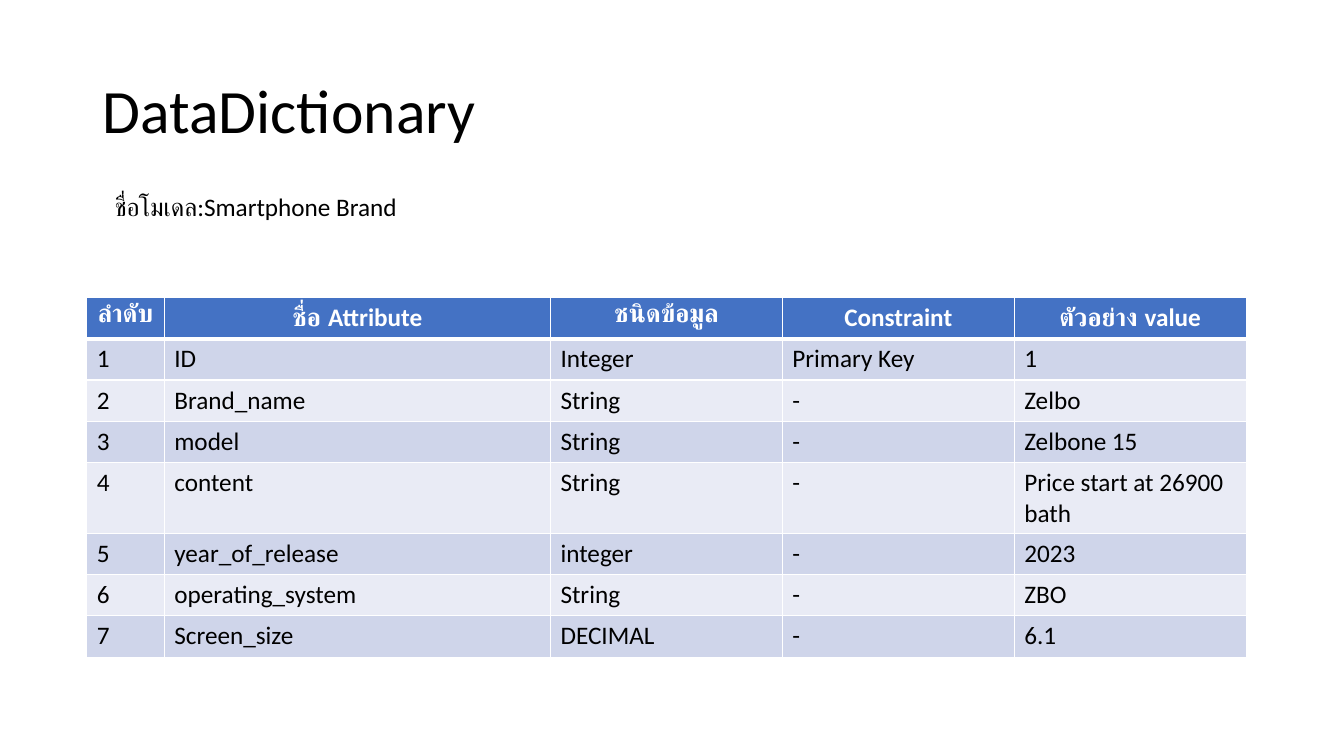
"""Build the data dictionary slide of the smartphone model."""
from pptx import Presentation
from pptx.dml.color import RGBColor
from pptx.enum.text import MSO_ANCHOR as Anchor, MSO_AUTO_SIZE as Fit, PP_ALIGN as Align
from pptx.oxml.ns import qn
from pptx.util import Inches, Pt
from lxml.etree import SubElement as Sub

BLACK = RGBColor(0x00, 0x00, 0x00)
WHITE = RGBColor(0xFF, 0xFF, 0xFF)
BLUE = RGBColor(0x44, 0x72, 0xC4)
BANDS = (RGBColor(0xE9, 0xEB, 0xF5), RGBColor(0xCF, 0xD5, 0xEA))
FONT = "Calibri"
WIDTHS = (0.77, 3.83, 2.3, 2.3, 2.3)
ROW = 0.41
ROWS = (
    ("ลำดับ", "ชื่อ Attribute", "ชนิดข้อมูล", "Constraint", "ตัวอย่าง value"),
    ("1", "ID", "Integer", "Primary Key", "1"),
    ("2", "Brand_name", "String", "-", "Zelbo"),
    ("3", "model", "String", "-", "Zelbone 15"),
    ("4", "content", "String", "-", "Price start at 26900 bath"),
    ("5", "year_of_release", "integer", "-", "2023"),
    ("6", "operating_system", "String", "-", "ZBO"),
    ("7", "Screen_size", "DECIMAL", "-", "6.1"),
)


def style(para, size, color, bold=False):
    """Set the font of a paragraph."""
    font = para.font
    font.name, font.size, font.bold = FONT, Pt(size), bold
    font.color.rgb = color


def add_text(slide, box, text, size):
    """Add a wrapped text box and return its frame."""
    frame = slide.shapes.add_textbox(*map(Inches, box)).text_frame
    frame.word_wrap = True
    frame.text = text
    style(frame.paragraphs[0], size, BLACK)
    return frame


def add_edges(cell, top, bottom):
    """Draw white borders around a cell."""
    props = cell._tc.get_or_add_tcPr()
    for side, width in (("L", 1), ("R", 1), ("T", top), ("B", bottom)):
        line = Sub(props, qn(f"a:ln{side}"), w=str(Pt(width)))
        fill = Sub(line, qn("a:solidFill"))
        Sub(fill, qn("a:srgbClr"), val=str(WHITE))


def fill_cell(cell, text, row):
    """Write and colour one cell according to its row."""
    head = row == 0
    cell.text = text
    para = cell.text_frame.paragraphs[0]
    style(para, 18, WHITE if head else BLACK, head)
    para.alignment = Align.CENTER if head else Align.LEFT
    add_edges(cell, 3 if row == 1 else 1, 3 if head else 1)
    cell.fill.solid()
    cell.fill.fore_color.rgb = BLUE if head else BANDS[row % 2]


def add_grid(slide, left, top):
    """Add the attribute table."""
    box = map(Inches, (left, top, sum(WIDTHS), ROW * len(ROWS)))
    table = slide.shapes.add_table(len(ROWS), len(WIDTHS), *box).table
    for col, width in zip(table.columns, WIDTHS):
        col.width = Inches(width)
    for row, texts in enumerate(ROWS):
        table.rows[row].height = Inches(ROW)
        for col, text in enumerate(texts):
            fill_cell(table.cell(row, col), text, row)


def main():
    """Create and save the slide."""
    deck = Presentation()
    deck.slide_width, deck.slide_height = Inches(13.33), Inches(7.5)
    slide = deck.slides.add_slide(deck.slide_layouts[6])
    title = add_text(slide, (0.92, 0.4, 11.5, 1.45), "DataDictionary", 44)
    title.vertical_anchor = Anchor.MIDDLE
    title.paragraphs[0].line_spacing = 0.9
    add_grid(slide, 0.86, 2.95)
    label = add_text(slide, (1.04, 1.85, 4.09, 0.4), "ชื่อโมเดล:Smartphone Brand", 18)
    label.auto_size = Fit.SHAPE_TO_FIT_TEXT
    deck.save("out.pptx")


if __name__ == "__main__":
    main()
